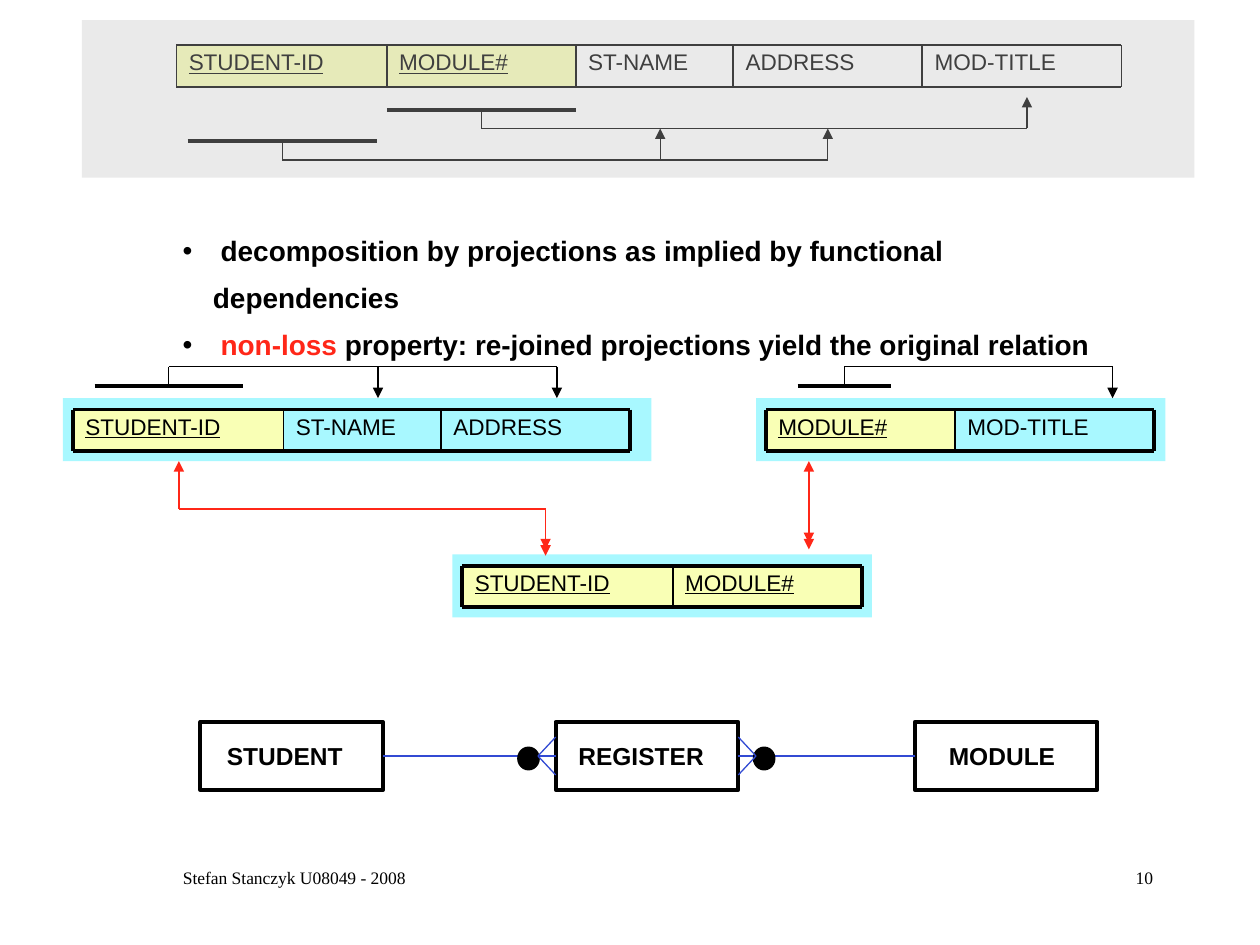
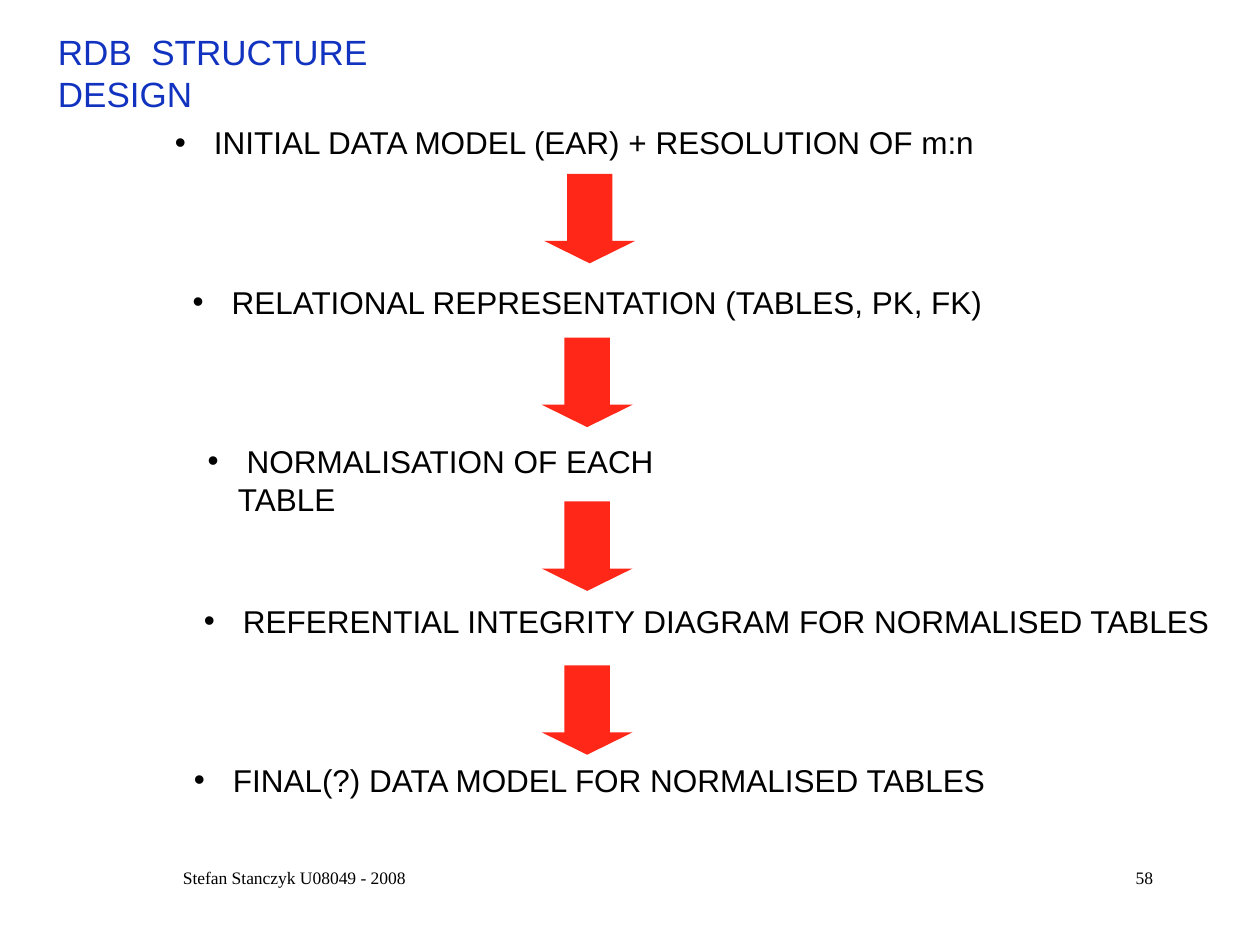
from pptx import Presentation
from pptx.util import Inches, Pt
from pptx.dml.color import RGBColor
from pptx.enum.shapes import MSO_SHAPE as Shape, MSO_CONNECTOR as Wire
from pptx.enum.text import PP_ALIGN as Align, MSO_ANCHOR as Anchor, MSO_AUTO_SIZE as Fit
from pptx.oxml.ns import qn
from lxml.etree import SubElement as add_sub

INK = {
    "black": "000000", "red": "FF2718", "blue": "1133C0", "link": "324AD3",
    "key": "F9FFB5", "band": "A8F8FF", "veil": "C2C2C2",
}
KEYS = ("STUDENT-ID", "MODULE#")
WIDTHS = {"STUDENT-ID": 1.67, "MODULE#": 1.5, "ST-NAME": 1.25, "ADDRESS": 1.5, "MOD-TITLE": 1.58}
ROW = 0.33


def tint(name):
    return RGBColor.from_string(INK[name])


def write(frame, paras, size=18, font="Arial", color="black", bold=False, under=False,
          align=Align.LEFT, anchor=Anchor.TOP, lead=1, bullet=False, inset=0.1):
    frame.word_wrap = True
    frame.auto_size = Fit.NONE
    frame.vertical_anchor = anchor
    frame.margin_left, frame.margin_right = Inches(inset), Inches(0.1)
    frame.margin_top = frame.margin_bottom = Inches(0.05)
    for i, runs in enumerate([paras] if isinstance(paras, str) else paras):
        para = frame.add_paragraph() if i else frame.paragraphs[0]
        if bullet:
            props = para._p.get_or_add_pPr()
            props.set("marL", str(Inches(0.24)))
            props.set("indent", str(-Inches(0.24)))
            add_sub(props, qn("a:buFont"), typeface="Arial")
            add_sub(props, qn("a:buChar"), char="•")
        para.alignment = align
        para.line_spacing = lead
        para.space_before = Pt(0)
        for words, hue in [(runs, color)] if isinstance(runs, str) else runs:
            run = para.add_run()
            run.text = words
            run.font.name, run.font.size = font, Pt(size)
            run.font.bold, run.font.underline = bold, under
            run.font.color.rgb = tint(hue)


def place(item, x, y, w, h):
    item.left, item.top, item.width, item.height = map(Inches, (x, y, w, h))
    return item


def label(slide, x, y, w, h, words, **style):
    box = slide.shapes.add_textbox(*map(Inches, (x, y, w, h)))
    write(box.text_frame, words, **style)


def block(slide, x, y, w, h, fill=None, edge=0, kind=Shape.RECTANGLE):
    item = slide.shapes.add_shape(kind, *map(Inches, (x, y, w, h)))
    item.shadow.inherit = False
    if fill:
        item.fill.solid()
        item.fill.fore_color.rgb = tint(fill)
    else:
        item.fill.background()
    if edge:
        item.line.color.rgb = tint("black")
        item.line.width = Pt(edge)
    else:
        item.line.fill.background()
    return item


def line(slide, start, end, width=0.75, color="black", head=False, tail=False):
    wire = slide.shapes.add_connector(Wire.STRAIGHT, *map(Inches, (*start, *end)))
    wire.line.color.rgb = tint(color)
    wire.line.width = Pt(width)
    stroke = wire.line._get_or_add_ln()
    for tag, shown in (("a:headEnd", head), ("a:tailEnd", tail)):
        if shown:
            add_sub(stroke, qn(tag), type="triangle")
    add_sub(wire.element.spPr, qn("a:effectLst"))
    return wire


def schema(slide, x, y, names, edge):
    stops = [x]
    for name in names:
        left, wide, key = stops[-1], WIDTHS[name], name in KEYS
        cell = block(slide, left, y, wide, ROW, "key" if key else None)
        write(cell.text_frame, name, size=12.9, under=key, lead=0.9)
        stops.append(left + wide)
    for level in (y, y + ROW):
        line(slide, (x, level), (stops[-1], level), edge)
    for stop in stops:
        outer = stop in (x, stops[-1])
        line(slide, (stop, y), (stop, y + ROW), edge if outer else 1)


def table(slide, x, y, w, names):
    block(slide, x, y, w, 0.5, "band")
    schema(slide, x + 0.08, y + 0.09, names, 2.25)


def depend(slide, x, y, w, ends, side):
    mid, rail, tip = x + w / 2, y + side * 0.15, y - side * 0.1
    line(slide, (x, y), (x + w, y), 2.25)
    line(slide, (mid, rail), (mid, y))
    line(slide, (mid, rail), (ends[-1], rail))
    for end in ends:
        line(slide, (end, rail), (end, tip), tail=True)


def refer(slide, *points):
    last = len(points) - 2
    for i, (start, end) in enumerate(zip(points, points[1:])):
        line(slide, start, end, color="red", head=i == 0, tail=i == last)
    x, y = points[-1]
    line(slide, (x, y - 0.15), (x, y - 0.05), color="red", tail=True)


def source(slide, x, y, w, h):
    schema(slide, x + 0.75, y + 0.2, list(KEYS) + ["ST-NAME", "ADDRESS", "MOD-TITLE"], 1)
    depend(slide, x + 0.84, y + 0.96, 1.5, (x + 4.59, x + 5.92), 1)
    depend(slide, x + 2.42, y + 0.71, 1.5, (x + 7.5,), 1)
    veil = block(slide, x, y, w, h, "veil")
    hue = next(veil.element.spPr.iter(qn("a:srgbClr")))
    add_sub(hue, qn("a:alpha"), val="33000")


def split(slide, x, y):
    table(slide, x, y, 4.67, ["STUDENT-ID", "ST-NAME", "ADDRESS"])
    table(slide, x + 5.5, y, 3.25, ["MODULE#", "MOD-TITLE"])
    table(slide, x + 3.09, y + 1.24, 3.33, KEYS)
    depend(slide, x + 0.25, y - 0.1, 1.18, (x + 2.5, x + 3.92), -1)
    depend(slide, x + 5.83, y - 0.1, 0.74, (x + 8.33,), -1)
    left, right, top, bend = x + 0.92, x + 3.83, y + 0.5, y + 0.88
    refer(slide, (left, top), (left, bend), (right, bend), (right, y + 1.25))
    refer(slide, (x + 5.92, top), (x + 5.92, y + 1.2))


def foot(slide, edge, mid, way):
    apex = edge + way * 0.14
    block(slide, edge + way * 0.21 - 0.09, mid - 0.07, 0.17, 0.18, "black", 0.75, Shape.OVAL)
    for gap in (-0.15, 0.15):
        line(slide, (apex, mid), (edge, mid + gap), color="link")


def model(slide, x, y, w, h):
    nodes = []
    for name, left, inset in (("STUDENT", 0, 0.21), ("REGISTER", 2.82, 0.18), ("MODULE", 5.67, 0.27)):
        node = block(slide, x + left, y, w, h, edge=2.25)
        write(node.text_frame, name, size=14, bold=True, anchor=Anchor.MIDDLE, inset=inset)
        nodes.append(node)
    for start, end in zip(nodes, nodes[1:]):
        wire = line(slide, (x, y), (x + w, y), color="link")
        wire.begin_connect(start, 3)
        wire.end_connect(end, 1)
    foot(slide, x + 2.82, y + h / 2, -1)
    foot(slide, x + 2.82 + w, y + h / 2, 1)


def footer(slide, page):
    style = {"size": 10, "font": "Times New Roman"}
    label(slide, 0.75, 6.83, 3.17, 0.5, "Stefan Stanczyk U08049 - 2008", align=Align.CENTER, **style)
    label(slide, 7.17, 6.83, 2.08, 0.5, page, align=Align.RIGHT, **style)


def normal(deck):
    slide = deck.slides.add_slide(deck.slide_layouts[1])
    title = slide.shapes.title.element
    title.getparent().remove(title)
    source(slide, 0.65, 0.16, 8.83, 1.25)
    body = place(slide.placeholders[1], 1.35, 1.7, 7.62, 1.25)
    write(body.text_frame, [
        " decomposition by projections as implied by functional dependencies",
        [(" ", "black"), ("non-loss", "red"),
         (" property: re-joined projections yield the original relation", "black")],
    ], size=16, bold=True, lead=1.4, bullet=True)
    split(slide, 0.5, 3.16)
    model(slide, 1.59, 5.73, 1.45, 0.54)
    footer(slide, "10")


def steps(slide, y, pitch):
    items = (
        (1.29, 7.12, " INITIAL DATA MODEL (EAR) + RESOLUTION OF m:n"),
        (1.43, 6.82, " RELATIONAL REPRESENTATION (TABLES, PK, FK)"),
        (1.55, 4.0, " NORMALISATION OF EACH TABLE"),
        (1.52, 8.32, " REFERENTIAL INTEGRITY DIAGRAM FOR NORMALISED TABLES"),
        (1.44, 6.82, " FINAL(?) DATA MODEL FOR NORMALISED TABLES"),
    )
    for i, (x, w, words) in enumerate(items):
        label(slide, x, y + i * pitch, w, 0.4, words, bullet=True)
    for i in range(len(items) - 1):
        arrow = block(slide, 4.3 if i else 4.32, y + 0.45 + i * 1.3, 0.72, 0.71, "red", kind=Shape.DOWN_ARROW)
        arrow.adjustments[0], arrow.adjustments[1] = 0.5, 0.25


def design(deck):
    slide = deck.slides.add_slide(deck.slide_layouts[5])
    title = place(slide.shapes.title, 0.36, 0.19, 3.72, 0.75)
    write(title.text_frame, "RDB  STRUCTURE DESIGN", size=20, color="blue")
    steps(slide, 0.93, 1.265)
    footer(slide, "58")


def main():
    deck = Presentation()
    deck.slide_width, deck.slide_height = Inches(10), Inches(7.5)
    normal(deck)
    design(deck)
    deck.save("out.pptx")


if __name__ == "__main__":
    main()
